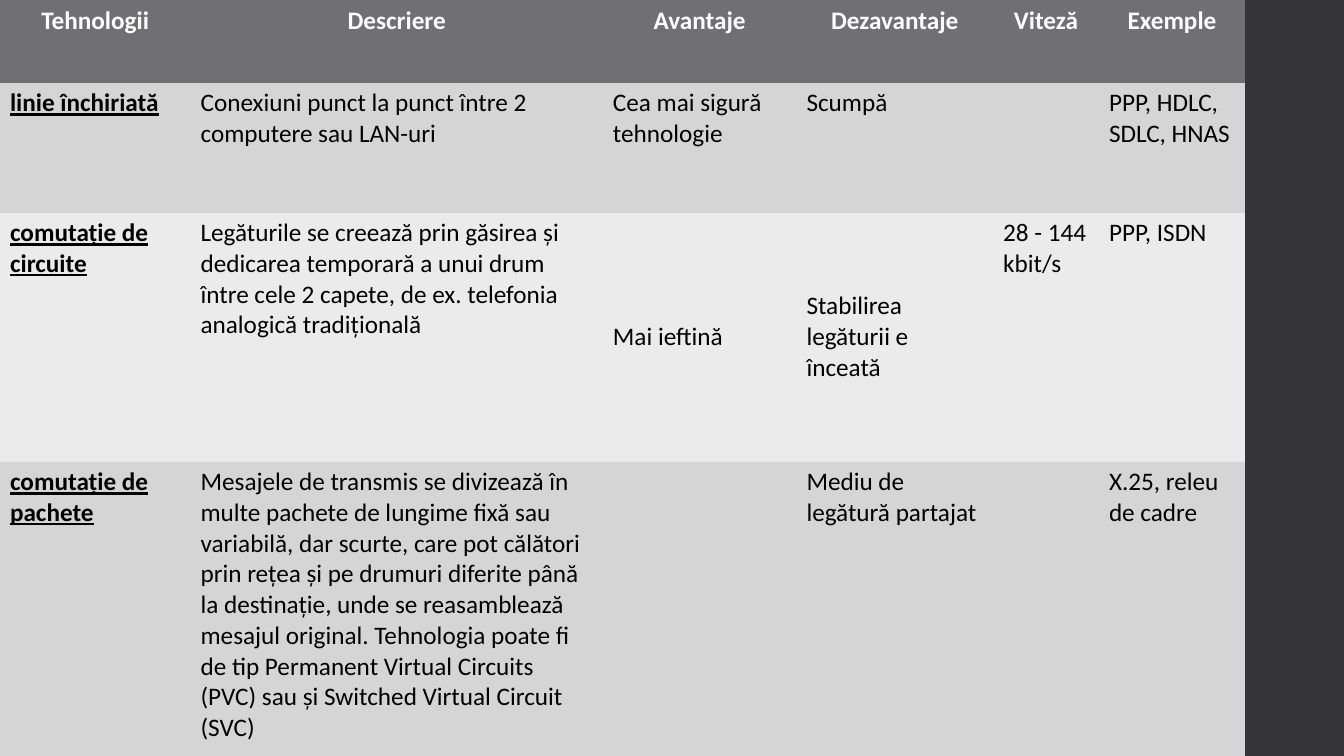
from pptx import Presentation
from pptx.dml.color import RGBColor
from pptx.enum import shapes, text
from pptx.oxml import ns
from pptx.util import Inches, Pt

HEADINGS = ["Tehnologii", "Descriere", "Avantaje", "Dezavantaje", "Viteză", "Exemple"]
TECHNOLOGIES = [
    ["linie închiriată",
     "Conexiuni punct la punct între 2 computere sau LAN-uri",
     "Cea mai sigură tehnologie", "Scumpă", "", "PPP, HDLC, SDLC, HNAS"],
    ["comutație de circuite",
     "Legăturile se creează prin găsirea și dedicarea temporară a unui drum "
     "între cele 2 capete, de ex. telefonia analogică tradițională",
     "Mai ieftină", "Stabilirea legăturii e înceată", "28 - 144 kbit/s", "PPP, ISDN"],
    ["comutație de pachete",
     "Mesajele de transmis se divizează în multe pachete de lungime fixă sau "
     "variabilă, dar scurte, care pot călători prin rețea și pe drumuri diferite "
     "până la destinație, unde se reasamblează mesajul original. Tehnologia poate "
     "fi de tip Permanent Virtual Circuits (PVC) sau și Switched Virtual Circuit (SVC)",
     "", "Mediu de legătură partajat", "", "X.25, releu de cadre"],
]
COLUMN_WIDTHS = [1.89, 4.09, 1.92, 1.95, 1.05, 1.45]
ROW_HEIGHTS = [0.82, 1.29, 2.47, 2.93]
MIDDLE_CELLS = {(2, 2), (2, 3)}

WHITE = RGBColor(0xFF, 0xFF, 0xFF)
BLACK = RGBColor(0, 0, 0)
SIDEBAR = RGBColor(0x35, 0x35, 0x37)
HEADER = RGBColor(0x6F, 0x6F, 0x74)
BANDS = [RGBColor(0xEB, 0xEB, 0xEB), RGBColor(0xD5, 0xD5, 0xD6)]
PLAIN_TABLE_STYLE = "{2D5ABB26-0587-4C30-8999-92F81FD0307C}"

HEADING_FONT = {"bold": True, "underline": False}
NAME_FONT = {"bold": True, "underline": True}
BODY_FONT = {"bold": False, "underline": False}


def fill_cell(cell, row, column, words):
    is_header = row == 0
    cell.fill.solid()
    cell.fill.fore_color.rgb = HEADER if is_header else BANDS[row % 2]
    if (row, column) in MIDDLE_CELLS:
        cell.vertical_anchor = text.MSO_ANCHOR.MIDDLE
    para = cell.text_frame.paragraphs[0]
    para.font.size = Pt(18)
    if not words:
        return
    if is_header:
        para.alignment = text.PP_ALIGN.CENTER
    span = para.add_run()
    span.text = words
    style = HEADING_FONT if is_header else NAME_FONT if column == 0 else BODY_FONT
    for name, value in {"name": "Calibri", "size": Pt(18), **style}.items():
        setattr(span.font, name, value)
    span.font.color.rgb = WHITE if is_header else BLACK


deck = Presentation()
deck.slide_width, deck.slide_height = Inches(13.33), Inches(7.5)
page = deck.slides.add_slide(deck.slide_layouts[6])

table_width = Inches(sum(COLUMN_WIDTHS))
sidebar = page.shapes.add_shape(
    shapes.MSO_SHAPE.RECTANGLE, table_width, 0, deck.slide_width - table_width, deck.slide_height)
sidebar.shadow.inherit = False
sidebar.fill.solid()
sidebar.fill.fore_color.rgb = SIDEBAR
sidebar.line.fill.background()

rows = [HEADINGS] + TECHNOLOGIES
table = page.shapes.add_table(
    len(rows), len(HEADINGS), 0, 0, table_width, deck.slide_height).table
table._tbl.tblPr.find(ns.qn("a:tableStyleId")).text = PLAIN_TABLE_STYLE
for column, width in zip(table.columns, COLUMN_WIDTHS):
    column.width = Inches(width)
for row, height in zip(table.rows, ROW_HEIGHTS):
    row.height = Inches(height)
for row, entries in enumerate(rows):
    for column, words in enumerate(entries):
        fill_cell(table.cell(row, column), row, column, words)

deck.save("out.pptx")
